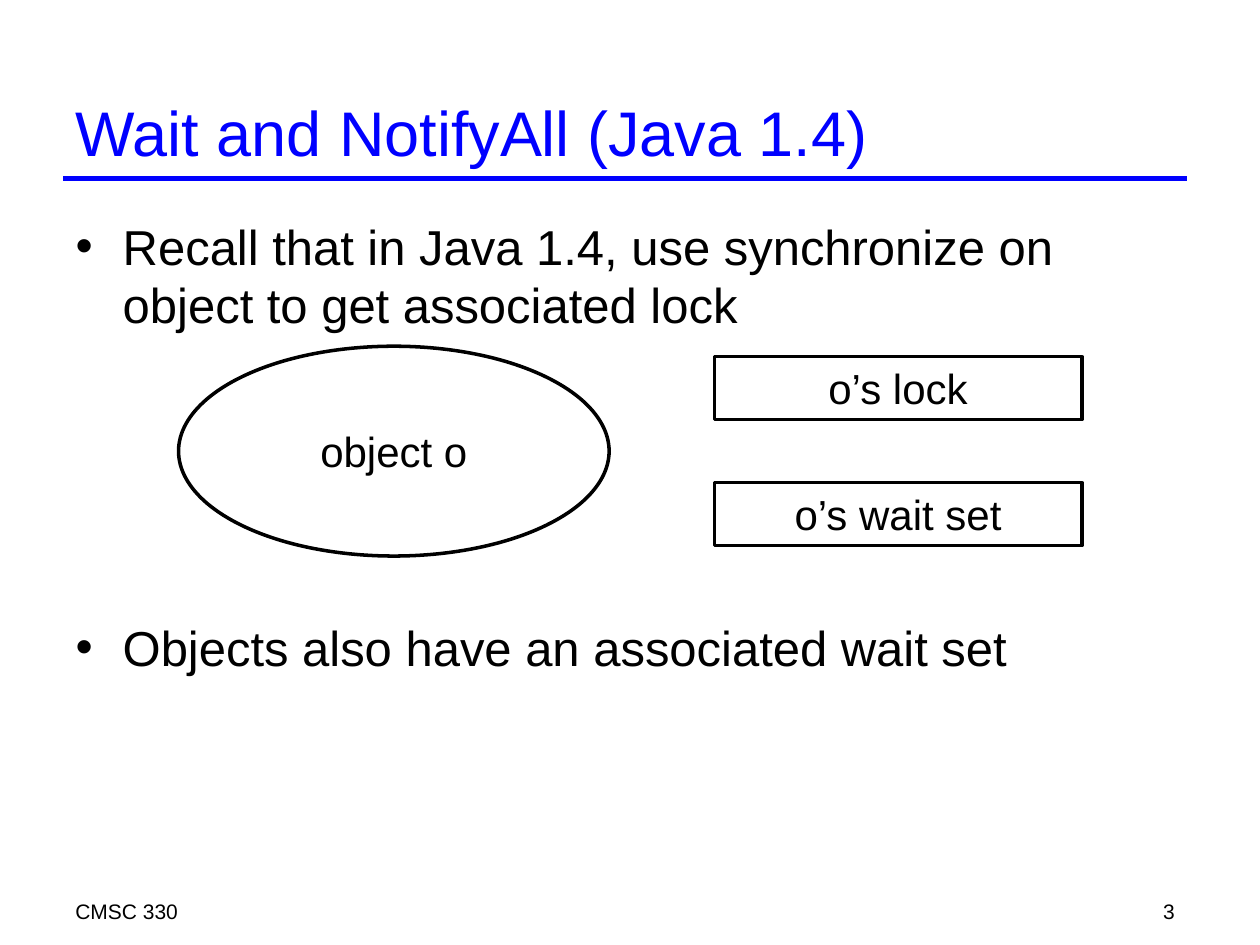
from lxml import etree
from pptx import Presentation
from pptx.dml.color import RGBColor
from pptx.enum.shapes import MSO_CONNECTOR as Connector, MSO_SHAPE as Shape
from pptx.enum.text import MSO_ANCHOR as Anchor, MSO_AUTO_SIZE as AutoSize, PP_ALIGN as Align
from pptx.oxml.ns import qn
from pptx.util import Cm, Pt

BLUE = RGBColor(0x00, 0x00, 0xFF)
BLACK = RGBColor(0x00, 0x00, 0x00)
LEFT, WIDTH = 1.27, 22.66


def place(item, left, top, width, height):
    """Move and size an item, in centimetres."""
    item.left, item.top = Cm(left), Cm(top)
    item.width, item.height = Cm(width), Cm(height)


def write(para, text, size, color=BLACK, align=Align.LEFT, before=0):
    """Put formatted text into a paragraph."""
    para.alignment = align
    para.space_before = Pt(before)
    span = para.add_run()
    span.text = text
    span.font.name = "Arial"
    span.font.size = Pt(size)
    span.font.color.rgb = color


def add_bullet(para, indent):
    """Give a paragraph a round bullet with a hanging indent."""
    properties = para._p.get_or_add_pPr()
    properties.set("marL", str(Cm(indent)))
    properties.set("indent", str(-Cm(indent)))
    etree.SubElement(properties, qn("a:buFont")).set("typeface", "Arial")
    etree.SubElement(properties, qn("a:buChar")).set("char", "•")


def add_heading(page, left, top, width, height):
    """Fill the title and rule it off along its lower edge."""
    title = page.shapes.title
    place(title, left, top, width, height)
    frame = title.text_frame
    frame.auto_size = AutoSize.NONE
    frame.vertical_anchor = Anchor.MIDDLE
    write(frame.paragraphs[0], "Wait and NotifyAll (Java 1.4)", 36, BLUE)
    bottom = Cm(top + height)
    rule = page.shapes.add_connector(
        Connector.STRAIGHT, Cm(left), bottom, Cm(left + width), bottom)
    rule.line.color.rgb = BLUE
    rule.line.width = Pt(3)
    etree.SubElement(rule._element.spPr, qn("a:effectLst"))


def add_points(page, left, top, width, height):
    """Fill the body with two points, parted to leave room for the diagram."""
    body = page.placeholders[1]
    place(body, left, top, width, height)
    frame = body.text_frame
    frame.auto_size = AutoSize.NONE
    frame.vertical_anchor = Anchor.TOP
    points = (
        ("Recall that in Java 1.4, use synchronize on object to get associated lock", 0),
        ("Objects also have an associated wait set", 162),
    )
    for index, (text, before) in enumerate(points):
        para = frame.add_paragraph() if index else frame.paragraphs[0]
        add_bullet(para, 0.95)
        write(para, text, 28, before=before)


def add_node(page, kind, text, left, top, width, height):
    """Draw one outlined shape with a centred label."""
    node = page.shapes.add_shape(kind, Cm(left), Cm(top), Cm(width), Cm(height))
    node.shadow.inherit = False
    node.fill.background()
    node.line.color.rgb = BLACK
    node.line.width = Pt(2)
    frame = node.text_frame
    frame.word_wrap = False
    frame.vertical_anchor = Anchor.MIDDLE
    write(frame.paragraphs[0], text, 24, align=Align.CENTER)


def add_diagram(page, left, top, width, height):
    """Draw the object beside its lock and its wait set."""
    add_node(page, Shape.OVAL, "object o", left, top, 8.68, height)
    box_width, box_height, pitch = 7.41, 1.27, 2.54
    for index, text in enumerate(("o’s lock", "o’s wait set")):
        add_node(page, Shape.RECTANGLE, text, left + width - box_width,
                 top + 0.21 + index * pitch, box_width, box_height)


def add_footer(page, left, top, width, height):
    """Put the course at the left and the page number at the right."""
    number_width = 5.29
    parts = (
        ("CMSC 330", left, 15.45, Align.LEFT),
        ("3", left + width - number_width, number_width, Align.RIGHT),
    )
    for text, part_left, part_width, align in parts:
        box = page.shapes.add_textbox(Cm(part_left), Cm(top), Cm(part_width), Cm(height))
        box.text_frame.word_wrap = True
        write(box.text_frame.paragraphs[0], text, 12, align=align)


def main():
    """Build the deck and save it."""
    deck = Presentation()
    deck.slide_width, deck.slide_height = Cm(25.4), Cm(19.05)
    page = deck.slides.add_slide(deck.slide_layouts[1])
    add_heading(page, LEFT, 1.69, WIDTH, 1.91)
    add_points(page, LEFT, 4.23, WIDTH, 13.55)
    add_diagram(page, 3.6, 6.98, 18.21, 4.23)
    add_footer(page, LEFT, 17.99, WIDTH, 0.64)
    deck.save("out.pptx")


if __name__ == "__main__":
    main()
